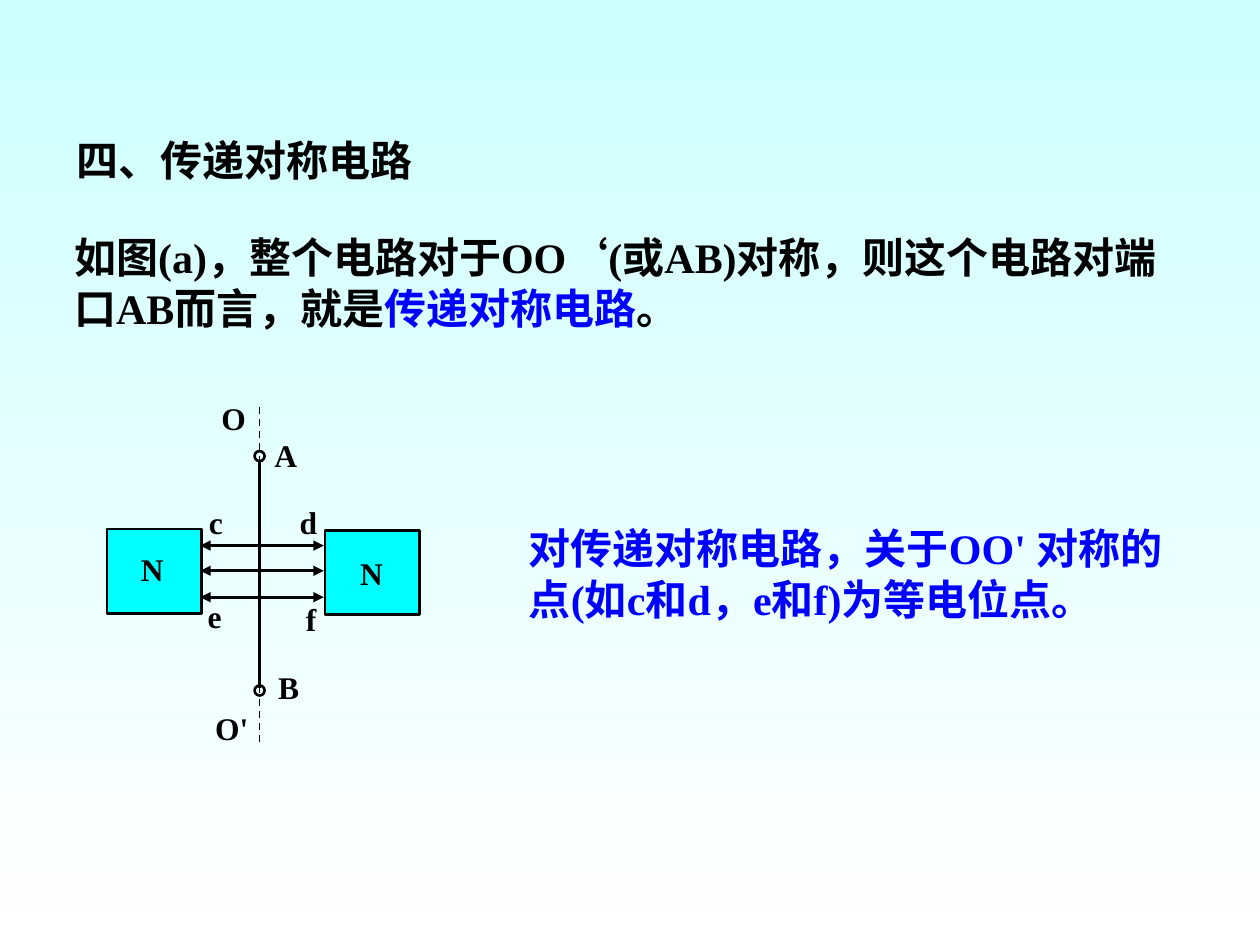
import dataclasses

import pptx
import pptx.dml.color
import pptx.enum.dml
import pptx.enum.shapes
import pptx.enum.text
import pptx.oxml
import pptx.oxml.ns
import pptx.util

Inches = pptx.util.Inches
Pt = pptx.util.Pt
RGB = pptx.dml.color.RGBColor.from_string
SHAPES = pptx.enum.shapes.MSO_SHAPE


@dataclasses.dataclass(frozen=True)
class Theme:
    ink: str = "000000"
    accent: str = "0000FF"
    block: str = "00FFFF"
    sky: str = "CCFFFF"
    white: str = "FFFFFF"
    font: str = "Times New Roman"
    body_size: int = 24
    label_size: int = 18
    stroke: float = 1.5
    axis_stroke: float = 1


THEME = Theme()


def paint_background(page):
    fill = page.background.fill
    fill.gradient()
    fill.gradient_angle = 270
    for stop, color in zip(fill.gradient_stops, (THEME.sky, THEME.white)):
        stop.color.rgb = RGB(color)


def write_text(box, spans, size):
    frame = box.text_frame
    frame.word_wrap = True
    frame.auto_size = pptx.enum.text.MSO_AUTO_SIZE.NONE
    frame.vertical_anchor = pptx.enum.text.MSO_ANCHOR.TOP
    para = frame.paragraphs[0]
    para.alignment = pptx.enum.text.PP_ALIGN.LEFT
    for words, color in spans:
        span = para.add_run()
        span.text = words
        span.font.name = THEME.font
        span.font.size = Pt(size)
        span.font.bold = True
        span.font.color.rgb = RGB(color)


def set_title(page, words):
    title = page.shapes.title
    title.left, title.top = Inches(0.51), Inches(1.02)
    title.width, title.height = Inches(9.1), Inches(0.5)
    write_text(title, [(words, THEME.ink)], THEME.body_size)


def add_text(page, left, top, width, height, spans, size=THEME.body_size):
    box = page.shapes.add_textbox(Inches(left), Inches(top), Inches(width), Inches(height))
    write_text(box, spans, size)


def add_label(page, words, left, top, width=0.46):
    add_text(page, left, top, width, 0.4, [(words, THEME.ink)], THEME.label_size)


def add_outline(page, kind, left, top, width, height, color=None):
    shape = page.shapes.add_shape(kind, Inches(left), Inches(top), Inches(width), Inches(height))
    shape.shadow.inherit = False
    if color:
        shape.fill.solid()
        shape.fill.fore_color.rgb = RGB(color)
    else:
        shape.fill.background()
    shape.line.color.rgb = RGB(THEME.ink)
    shape.line.width = Pt(THEME.stroke)


def add_line(page, start, end, width=THEME.stroke, dashed=False, arrows=False):
    line = page.shapes.add_connector(
        pptx.enum.shapes.MSO_CONNECTOR.STRAIGHT, *map(Inches, start + end))
    line.line.color.rgb = RGB(THEME.ink)
    line.line.width = Pt(width)
    if dashed:
        line.line.dash_style = pptx.enum.dml.MSO_LINE.DASH
    if arrows:
        outline = line.line._get_or_add_ln()
        for tag in ("headEnd", "tailEnd"):
            outline.append(pptx.oxml.parse_xml(
                f'<a:{tag} {pptx.oxml.ns.nsdecls("a")} type="triangle"/>'))
    properties = line._element.spPr
    properties.append(pptx.oxml.parse_xml(f'<a:effectLst {pptx.oxml.ns.nsdecls("a")}/>'))


def draw_circuit(page):
    axis = 2.06
    for left, top in ((0.85, 4.2), (2.58, 4.21)):
        add_outline(page, SHAPES.RECTANGLE, left, top, 0.75, 0.67, THEME.block)
    add_line(page, (axis, 3.65), (axis, 5.46))
    for top in (3.58, 5.44):
        add_outline(page, SHAPES.OVAL, axis - 0.04, top, 0.08, 0.08)
    for height in (4.33, 4.53, 4.74):
        add_line(page, (1.59, height), (2.57, height), arrows=True)
    add_line(page, (axis, 3.23), (axis, 5.9), THEME.axis_stroke, dashed=True)
    labels = (
        ("O", 1.66, 3.12), ("A", 2.08, 3.41), ("B", 2.11, 5.25),
        ("N", 1.02, 4.32), ("N", 2.76, 4.35),
        ("c", 1.56, 3.94), ("d", 2.28, 3.94),
        ("e", 1.55, 4.69), ("f", 2.33, 4.71),
    )
    for words, left, top in labels:
        add_label(page, words, left, top)
    add_label(page, "O'", 1.61, 5.58, 0.63)


def main():
    deck = pptx.Presentation()
    deck.slide_width, deck.slide_height = Inches(10), Inches(7.5)
    page = deck.slides.add_slide(deck.slide_layouts.get_by_name("Title Only"))
    paint_background(page)
    set_title(page, "四、传递对称电路")
    add_text(page, 0.49, 1.79, 9.1, 0.9, [
        ("如图(a)，整个电路对于OO‘(或AB)对称，则这个电路对端口AB而言，就是", THEME.ink),
        ("传递对称电路", THEME.accent),
        ("。", THEME.ink),
    ])
    draw_circuit(page)
    add_text(page, 4.1, 4.1, 5.4, 0.9, [
        ("对传递对称电路，关于OO' 对称的点(如c和d，e和f)为等电位点。", THEME.accent),
    ])
    deck.save("out.pptx")


if __name__ == "__main__":
    main()
